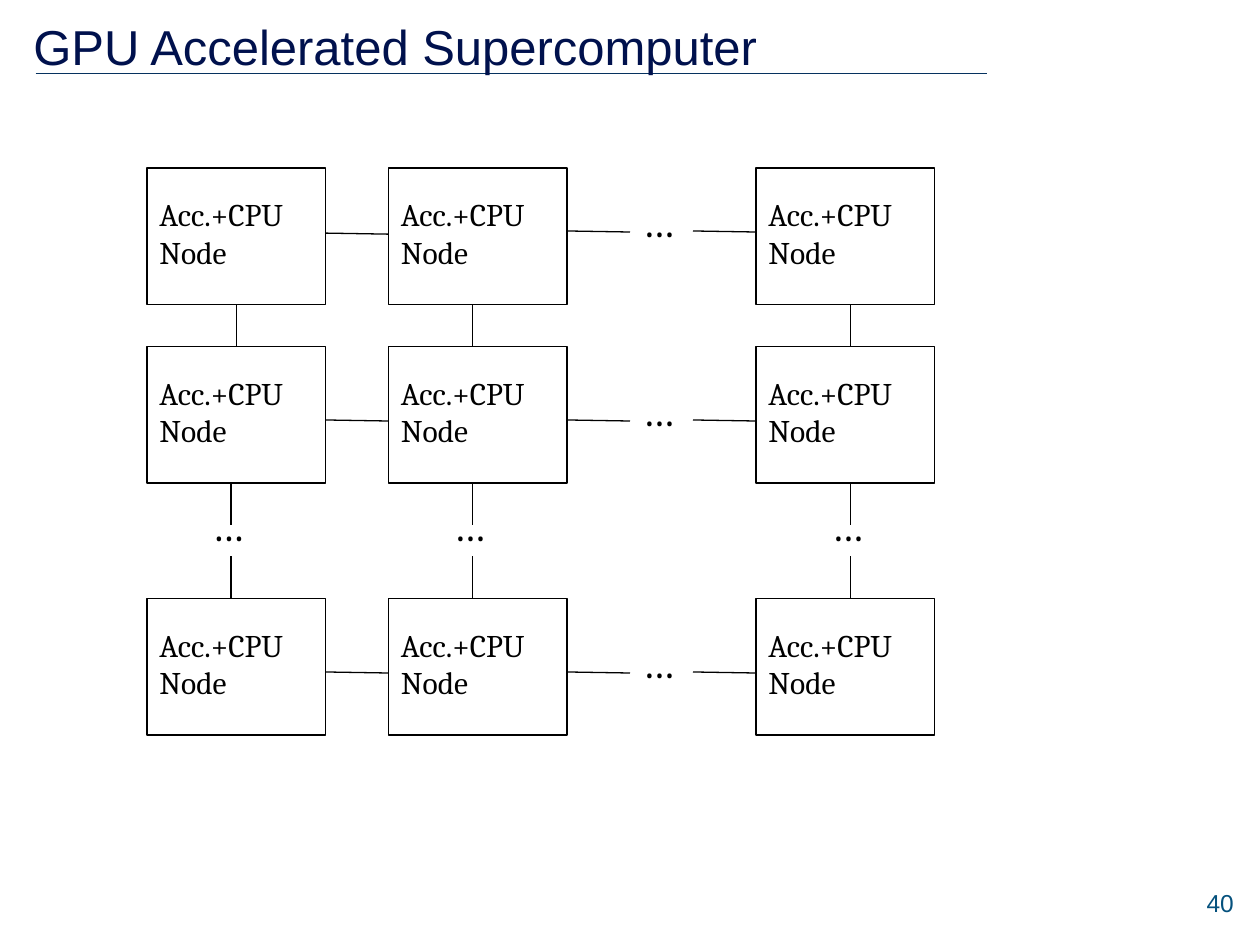
from pptx import Presentation
from pptx.dml.color import RGBColor
from pptx.enum.shapes import MSO_CONNECTOR as Wire, MSO_SHAPE as Shape
from pptx.enum.text import MSO_ANCHOR as Anchor, PP_ALIGN as Align
from pptx.oxml.ns import qn
from pptx.util import Emu, Pt
from lxml.etree import SubElement

SCALE = 7620
COLS, ROWS = (140, 370, 720), (160, 330, 570)
WIDE, HIGH = 170, 130
LANES_X, LANES_Y = (220, 450, 810), (220, 400, 640)
SPANS_X = ((310, 370), (540, 600), (660, 720))
SPANS_Y = ((290, 330), (460, 500), (530, 570))
BODY = {"name": "Cambria", "size": Pt(18)}
DOTS = {"name": "Cambria", "size": Pt(24)}
HEAD = {"name": "Arial", "size": Pt(28)}
FOOT = {"name": "Arial", "size": Pt(14)}


def px(*nums):
    """Turn px lengths into EMU."""
    return [Emu(num * SCALE) for num in nums]


def tint(hue):
    """Turn a hex string into a colour."""
    return RGBColor.from_string(hue)


def write(slide, box, lines, style, hue="000000", wrap=True,
          anchor=Anchor.TOP, align=Align.LEFT):
    """Place a text box with one paragraph for each line."""
    frame = slide.shapes.add_textbox(*px(*box)).text_frame
    frame.word_wrap = wrap
    frame.vertical_anchor = anchor
    frame.text = "\n".join(lines)
    for para in frame.paragraphs:
        para.alignment = align
        for run in para.runs:
            for key, value in style.items():
                setattr(run.font, key, value)
            run.font.color.rgb = tint(hue)


def link(slide, start, end, hue="000000", width=0.75):
    """Draw a straight line between two points."""
    wire = slide.shapes.add_connector(Wire.STRAIGHT, *px(*start, *end))
    wire.line.color.rgb = tint(hue)
    wire.line.width = Pt(width)
    SubElement(wire._element.spPr, qn("a:effectLst"))


def node(slide, left, top):
    """Draw one compute node with its label."""
    rect = slide.shapes.add_shape(Shape.RECTANGLE, *px(left, top, WIDE, HIGH))
    rect.shadow.inherit = False
    rect.fill.background()
    rect.line.color.rgb = tint("000000")
    rect.line.width = Pt(0.75)
    write(slide, (left, top + 20, WIDE, 85), ["Acc.+CPU", "Node"], BODY)


def dots(slide, left, top):
    """Place an ellipsis for omitted nodes."""
    write(slide, (left, top, 65, 61), ["…"], DOTS, wrap=False)


def header(slide, left, top):
    """Place the title over its rule."""
    link(slide, (left + 14, top + 60), (left + 920, top + 60), "06325F", 0.5)
    write(slide, (left, top, 920, 68), ["GPU Accelerated Supercomputer"],
          HEAD, "00114D", anchor=Anchor.MIDDLE)


def mesh(slide):
    """Draw the grid of nodes, its wires and its ellipses."""
    for top in ROWS:
        for left in COLS:
            node(slide, left, top)
    for row, y in enumerate(LANES_Y):
        for col, (start, end) in enumerate(SPANS_X):
            shift = 2 if row == col == 0 else 0
            link(slide, (start, y + shift), (end, y + shift + 1))
        dots(slide, 600, y - 40)
    for col, x in enumerate(LANES_X):
        for row, (start, end) in enumerate(SPANS_Y):
            shift = 5 if row == col == 0 else 0
            link(slide, (x + shift, start), (x + shift, end))
        dots(slide, x - 30, 470)


def main():
    """Build and save the slide."""
    deck = Presentation()
    deck.slide_width, deck.slide_height = px(1200, 900)
    slide = deck.slides.add_slide(deck.slide_layouts[6])
    header(slide, 20, 10)
    mesh(slide)
    write(slide, (940, 840, 247, 60), ["40"], FOOT, "05517D", align=Align.RIGHT)
    deck.save("out.pptx")


if __name__ == "__main__":
    main()
